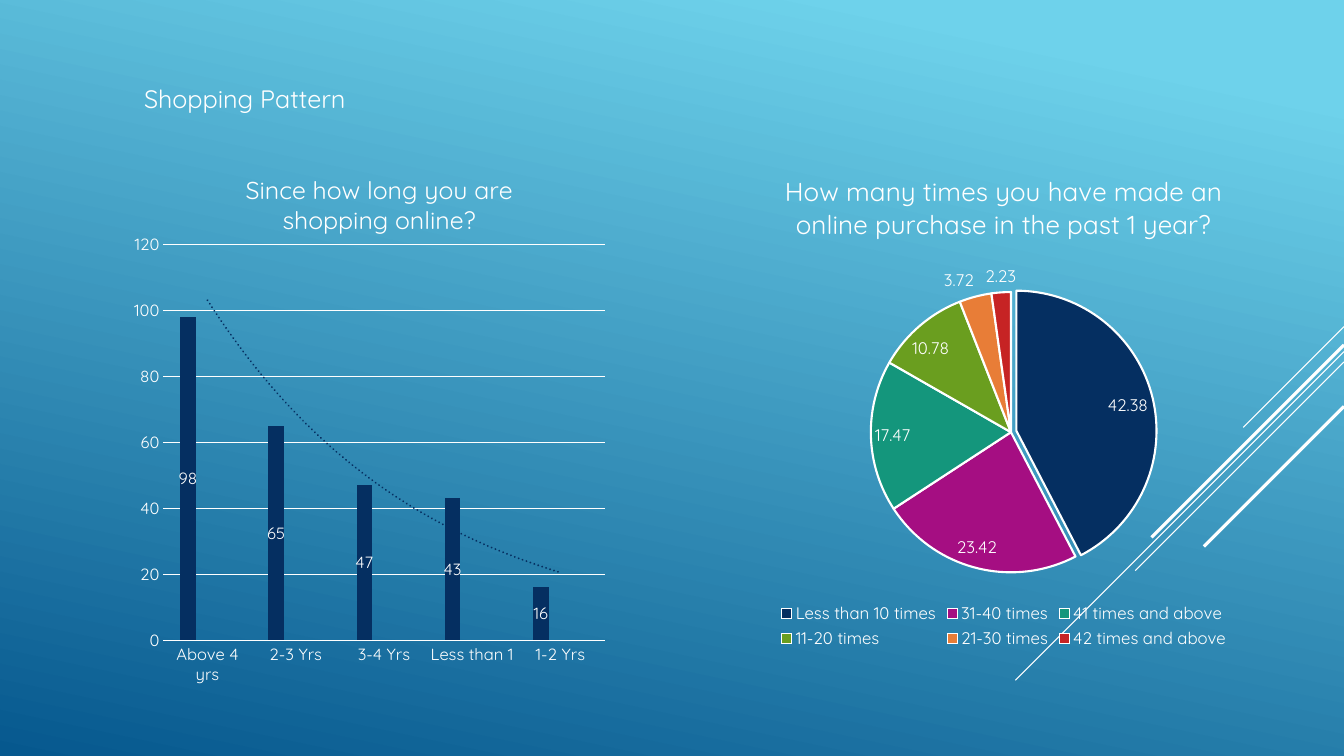
from dataclasses import dataclass

from lxml import etree
from pptx import Presentation
from pptx import util as u
from pptx.chart import data as cd
from pptx.dml.color import RGBColor
from pptx.enum import chart as ch, dml, shapes, text
from pptx.oxml import parse_xml
from pptx.oxml.ns import nsdecls, qn

FONT = "Quicksand"
WHITE = RGBColor(0xFF, 0xFF, 0xFF)
SKY = RGBColor(0x6E, 0xD2, 0xEB)
OCEAN = RGBColor(0x06, 0x58, 0x8E)
NAVY = RGBColor(0x05, 0x2F, 0x61)
PURPLE = RGBColor(0xA5, 0x0E, 0x82)
TEAL = RGBColor(0x14, 0x96, 0x7C)
GREEN = RGBColor(0x6A, 0x9E, 0x1F)
ORANGE = RGBColor(0xE8, 0x7D, 0x37)
RED = RGBColor(0xC6, 0x23, 0x24)
SLIDE_W, SLIDE_H = 33.87, 19.05


@dataclass
class Streak:
    """A 45 degree line running down and left from the right slide edge, in cm."""
    top: float
    run: float
    weight: float = 0.75


@dataclass
class Slice:
    label: str
    value: float
    color: RGBColor


STREAKS = [
    Streak(8.23, 2.54),
    Streak(8.86, 8.28),
    Streak(9.12, 5.26),
    Streak(8.69, 4.85, 2.25),
    Streak(10.24, 3.53, 2.25),
]
YEARS_SHOPPING = {"Above 4 yrs": 98, "2-3 Yrs": 65, "3-4 Yrs": 47,
                  "Less than 1": 43, "1-2 Yrs": 16}
PURCHASES = [
    Slice("Less than 10 times", 42.38, NAVY),
    Slice("31-40 times", 23.42, PURPLE),
    Slice("41 times and above", 17.47, TEAL),
    Slice("11-20 times", 10.78, GREEN),
    Slice("21-30 times", 3.72, ORANGE),
    Slice("42 times and above", 2.23, RED),
]
YEARS_TITLE = "Since how long you are shopping online?"
PURCHASES_TITLE = "How many times you have made an online purchase in the past 1 year?"


def style_font(font, size: float) -> None:
    font.name = FONT
    font.size = u.Pt(size)
    font.bold = False
    font.color.rgb = WHITE


def write_text(tf, content: str, *, size: float = 18, align=None) -> None:
    p = tf.paragraphs[0]
    p.alignment = align
    r = p.add_run()
    r.text = content
    style_font(r.font, size)


def style_line(line, weight: float) -> None:
    line.color.rgb = WHITE
    line.width = u.Pt(weight)


def paint_background(s) -> None:
    fill = s.background.fill
    fill.gradient()
    fill.gradient_angle = 258
    for stop, color, position in zip(fill.gradient_stops, (SKY, OCEAN), (0.1, 1)):
        stop.color.rgb = color
        stop.position = position


def add_streak(s, streak: Streak) -> None:
    sp = s.shapes.add_connector(
        shapes.MSO_CONNECTOR.STRAIGHT, u.Cm(SLIDE_W), u.Cm(streak.top),
        u.Cm(SLIDE_W - streak.run), u.Cm(streak.top + streak.run))
    style_line(sp.line, streak.weight)
    etree.SubElement(sp._element.spPr, qn("a:effectLst"))


def add_chart(s, kind, box: tuple, chart_data, title: str, title_size: float):
    chart = s.shapes.add_chart(kind, *map(u.Cm, box), chart_data).chart
    style_font(chart.font, 10)
    write_text(chart.chart_title.text_frame, title, size=title_size)
    chart.chart_title.include_in_layout = False
    return chart


def label_values(series, position) -> None:
    labels = series.data_labels
    labels.show_value = True
    labels.position = position
    style_font(labels.font, 12)


def set_inner_plot(chart, x: float, y: float, w: float, h: float) -> None:
    plot_area = chart._chartSpace.chart.plotArea
    for old in plot_area.findall(qn("c:layout")):
        plot_area.remove(old)
    plot_area.insert(0, parse_xml(
        f'<c:layout {nsdecls("c")}><c:manualLayout><c:layoutTarget val="inner"/>'
        '<c:xMode val="edge"/><c:yMode val="edge"/>'
        f'<c:x val="{x}"/><c:y val="{y}"/><c:w val="{w}"/><c:h val="{h}"/>'
        '</c:manualLayout></c:layout>'))


def add_exponential_trend(series) -> None:
    series._element.find(qn("c:cat")).addprevious(parse_xml(
        f'<c:trendline {nsdecls("c", "a")}><c:spPr><a:ln w="19050" cap="rnd">'
        f'<a:solidFill><a:srgbClr val="{NAVY}"/></a:solidFill>'
        '<a:prstDash val="sysDot"/></a:ln></c:spPr>'
        '<c:trendlineType val="exp"/><c:dispRSqr val="0"/><c:dispEq val="0"/>'
        '</c:trendline>'))


def add_years_chart(s) -> None:
    data = cd.CategoryChartData()
    data.categories = list(YEARS_SHOPPING)
    data.add_series("Series 1", list(YEARS_SHOPPING.values()))
    for name in ("Series 2", "Series 3"):
        data.add_series(name, [None] * len(YEARS_SHOPPING))
    chart = add_chart(s, ch.XL_CHART_TYPE.COLUMN_CLUSTERED,
                      (3.38, 3.84, 12.22, 13.41), data, YEARS_TITLE, 18)
    chart.has_legend = False
    set_inner_plot(chart, 0.05, 0.18, 0.92, 0.77)

    plot = chart.plots[0]
    plot.gap_width, plot.overlap = 219, -27
    plot.vary_by_categories = False
    for series, color in zip(plot.series, (NAVY, PURPLE, TEAL)):
        series.format.fill.solid()
        series.format.fill.fore_color.rgb = color
        label_values(series, ch.XL_LABEL_POSITION.CENTER)
    add_exponential_trend(plot.series[0])

    for axis in (chart.category_axis, chart.value_axis):
        axis.major_tick_mark = axis.minor_tick_mark = ch.XL_TICK_MARK.NONE
        style_font(axis.tick_labels.font, 12)
    style_line(chart.category_axis.format.line, 0.75)
    values = chart.value_axis
    values.minimum_scale, values.maximum_scale, values.major_unit = 0, 120, 20
    values.format.line.fill.background()
    style_line(values.major_gridlines.format.line, 0.75)


def add_purchases_chart(s) -> None:
    data = cd.CategoryChartData()
    data.categories = [part.label for part in PURCHASES]
    data.add_series(PURCHASES_TITLE, [part.value for part in PURCHASES])
    chart = add_chart(s, ch.XL_CHART_TYPE.PIE, (17.12, 3.84, 16.36, 12.62),
                      data, PURCHASES_TITLE, 18.6)
    chart.has_legend = True
    chart.legend.position = ch.XL_LEGEND_POSITION.BOTTOM
    chart.legend.include_in_layout = False
    style_font(chart.legend.font, 12)

    plot = chart.plots[0]
    plot.vary_by_categories = True
    series = plot.series[0]
    for i, part in enumerate(PURCHASES):
        fmt = series.points[i].format
        fmt.fill.solid()
        fmt.fill.fore_color.rgb = part.color
        style_line(fmt.line, 1.5)
    first_slice = series._element.find(qn("c:dPt"))
    first_slice.find(qn("c:spPr")).addprevious(
        parse_xml(f'<c:explosion {nsdecls("c")} val="4"/>'))
    label_values(series, ch.XL_LABEL_POSITION.BEST_FIT)


def main() -> None:
    prs = Presentation()
    prs.slide_width, prs.slide_height = u.Cm(SLIDE_W), u.Cm(SLIDE_H)
    s = prs.slides.add_slide(prs.slide_layouts[6])
    paint_background(s)
    for streak in STREAKS:
        add_streak(s, streak)
    heading = s.shapes.add_textbox(u.Cm(3.38), u.Cm(1.98), u.Cm(5.89), u.Cm(1.02))
    heading.text_frame.word_wrap = False
    heading.text_frame.auto_size = text.MSO_AUTO_SIZE.SHAPE_TO_FIT_TEXT
    write_text(heading.text_frame, "Shopping Pattern", align=text.PP_ALIGN.LEFT)
    add_years_chart(s)
    add_purchases_chart(s)
    prs.save("out.pptx")


if __name__ == "__main__":
    main()
